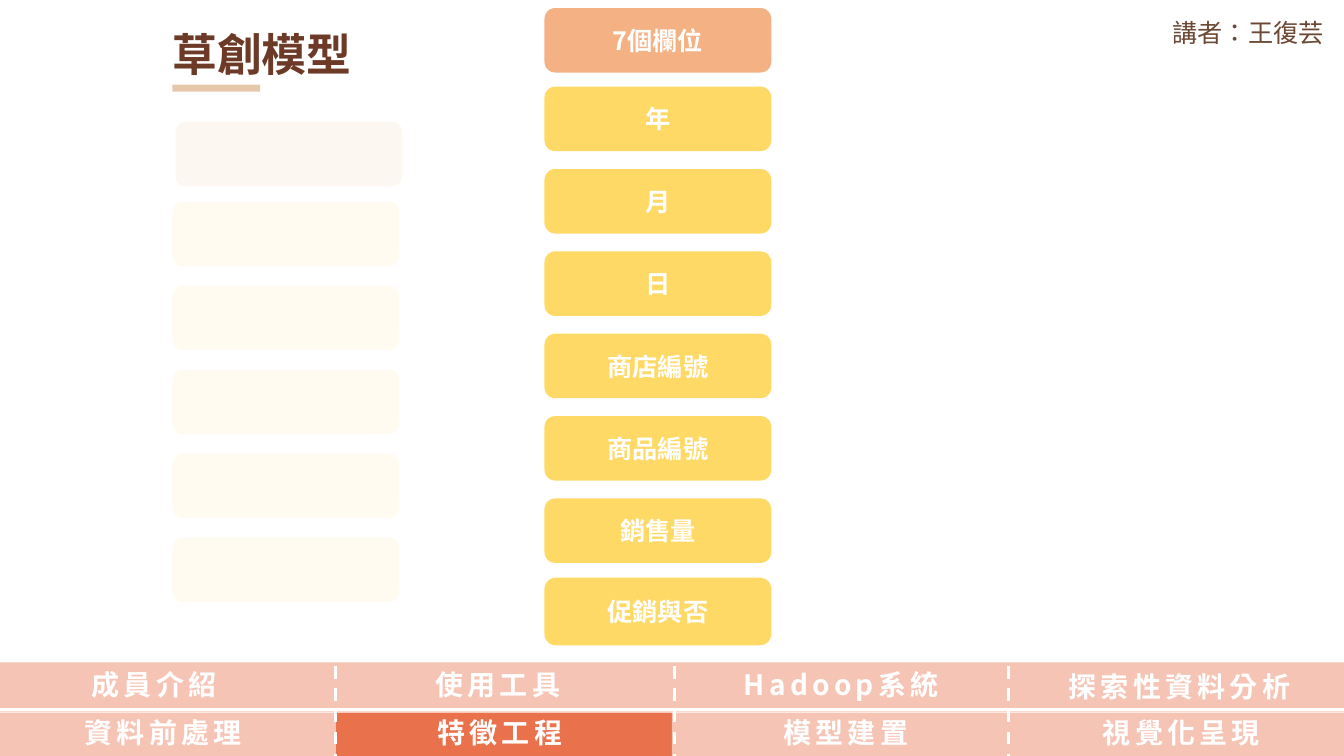
from lxml.etree import SubElement
from pptx import Presentation
from pptx.dml.color import RGBColor
from pptx.enum.dml import MSO_LINE
from pptx.enum.shapes import MSO_CONNECTOR, MSO_SHAPE
from pptx.enum.text import MSO_ANCHOR, PP_ALIGN
from pptx.oxml.ns import qn
from pptx.util import Inches, Pt

# Content
TITLE = "草創模型"
SPEAKER = "講者：王復芸"
BASIC_FIELD_COUNT = 5
MODEL_HEADING = "7個欄位"
MODEL_FIELDS = ["年", "月", "日", "商店編號", "商品編號", "銷售量", "促銷與否"]
# Each navigation label: text, left, top, width
NAVIGATION = [
    [("成員介紹", 0.81, 6.62, 1.49), ("使用工具", 4.22, 6.62, 1.49),
     ("Hadoop系統", 7.28, 6.62, 2.2), ("探索性資料分析", 10.5, 6.64, 2.46)],
    [("資料前處理", 0.74, 7.1, 1.81), ("特徵工程", 4.24, 7.1, 1.49),
     ("模型建置", 7.67, 7.1, 1.49), ("視覺化呈現", 10.84, 7.1, 1.81)],
]
CURRENT_SECTION = "特徵工程"

THEME = {
    "font": "Noto Sans CJK SC", "speaker_font": "Noto Sans CJK TC",
    "title": "6C3A27", "speaker": "6B4834", "underline": "E5C8A9",
    "heading": "F4B183", "field": "FFD966", "white": "FFFFFF",
    "section": "F6C4B4", "current": "E9714C",
    "title_size": 32, "nav_size": 20, "body_size": 18,
}

# Layout, in inches
SLIDE_WIDTH, SLIDE_HEIGHT = 13.33, 7.5
CARD_WIDTH, CARD_HEIGHT = 2.25, 0.64
BASIC_LEFT, BASIC_TOP, BASIC_STEP = 1.71, 2, 0.833
MODEL_LEFT, MODEL_TOP, MODEL_STEP = 5.4, 0.86, 0.817
LAST_CARD_EXTRA = 0.03
NAV_ROWS = [(6.57, 0.49), (7.07, 0.43)]
NAV_WIDTH = SLIDE_WIDTH / 4
NAV_DIVIDERS = [3.33, 6.69, 10]

presentation = Presentation()
presentation.slide_width = Inches(SLIDE_WIDTH)
presentation.slide_height = Inches(SLIDE_HEIGHT)
slide = presentation.slides.add_slide(presentation.slide_layouts[6])


def write_text(frame, text, size, color=THEME["white"], font=THEME["font"],
               bold=True, align=PP_ALIGN.LEFT, spacing=0):
    paragraph = frame.paragraphs[0]
    paragraph.alignment = align
    run = paragraph.add_run()
    run.text = text
    run.font.size = Pt(size)
    run.font.bold = bold
    run.font.color.rgb = RGBColor.from_string(color)
    run.font.name = font
    properties = run._r.get_or_add_rPr()
    properties.set("lang", "zh-TW")
    SubElement(properties, qn("a:ea")).set("typeface", font)
    if spacing:
        properties.set("spc", str(spacing * 100))


def add_label(text, left, top, width, height, size, wrap=False, **style):
    box = slide.shapes.add_textbox(Inches(left), Inches(top), Inches(width), Inches(height))
    frame = box.text_frame
    frame.word_wrap = wrap
    frame.margin_top = frame.margin_bottom = 0
    write_text(frame, text, size, **style)


def add_block(left, top, width, height, color, kind=MSO_SHAPE.RECTANGLE):
    shape = slide.shapes.add_shape(kind, Inches(left), Inches(top), Inches(width), Inches(height))
    shape.shadow.inherit = False
    shape.fill.solid()
    shape.fill.fore_color.rgb = RGBColor.from_string(color)
    shape.line.fill.background()
    return shape


def add_card(left, top, color, text="", extra=0):
    card = add_block(left, top - extra, CARD_WIDTH, CARD_HEIGHT + extra, color,
                     MSO_SHAPE.ROUNDED_RECTANGLE)
    if text:
        card.text_frame.word_wrap = True
        card.text_frame.vertical_anchor = MSO_ANCHOR.MIDDLE
        write_text(card.text_frame, text, THEME["body_size"], align=PP_ALIGN.CENTER)


def add_divider(left, top, right, bottom, dash=None):
    line = slide.shapes.add_connector(
        MSO_CONNECTOR.STRAIGHT, Inches(left), Inches(top), Inches(right), Inches(bottom))
    line.line.color.rgb = RGBColor.from_string(THEME["white"])
    line.line.width = Pt(2.25)
    if dash:
        line.line.dash_style = dash
    SubElement(line._element.spPr, qn("a:effectLst"))


# Title and speaker
add_label(TITLE, 1.61, 0.27, 5.92, 0.64, THEME["title_size"], wrap=True, color=THEME["title"])
add_block(1.71, 0.84, 0.87, 0.07, THEME["underline"])
add_label(SPEAKER, 11.53, 0.17, 1.72, 0.37, THEME["body_size"], color=THEME["speaker"],
          font=THEME["speaker_font"], bold=False)

# Navigation: cells, dividers, then labels
for (top, height), labels in zip(NAV_ROWS, NAVIGATION):
    for column, (name, *_) in enumerate(labels):
        color = THEME["current"] if name == CURRENT_SECTION else THEME["section"]
        add_block(column * NAV_WIDTH, top, NAV_WIDTH, height, color)
for left in NAV_DIVIDERS:
    add_divider(left, 6.39, left, SLIDE_HEIGHT, MSO_LINE.DASH)
add_divider(0, 7.04, SLIDE_WIDTH, 7.04)
for labels in NAVIGATION:
    for name, left, top, width in labels:
        add_label(name, left, top, width, 0.4, THEME["nav_size"], spacing=3)

# Basic field cards, faded by a translucent veil
add_card(1.74, 1.21, THEME["heading"])
for row in range(BASIC_FIELD_COUNT):
    add_card(BASIC_LEFT, BASIC_TOP + row * BASIC_STEP, THEME["field"])
veil = add_block(1.41, 1.02, 2.83, 5.22, THEME["white"])
veil_color = veil._element.spPr.find(qn("a:solidFill")).find(qn("a:srgbClr"))
SubElement(veil_color, qn("a:alpha")).set("val", "90000")

# Model fields; the last card is slightly taller
add_card(MODEL_LEFT, 0.08, THEME["heading"], MODEL_HEADING)
for row, field in enumerate(MODEL_FIELDS):
    extra = LAST_CARD_EXTRA if field == MODEL_FIELDS[-1] else 0
    add_card(MODEL_LEFT, MODEL_TOP + row * MODEL_STEP, THEME["field"], field, extra)

presentation.save("out.pptx")
